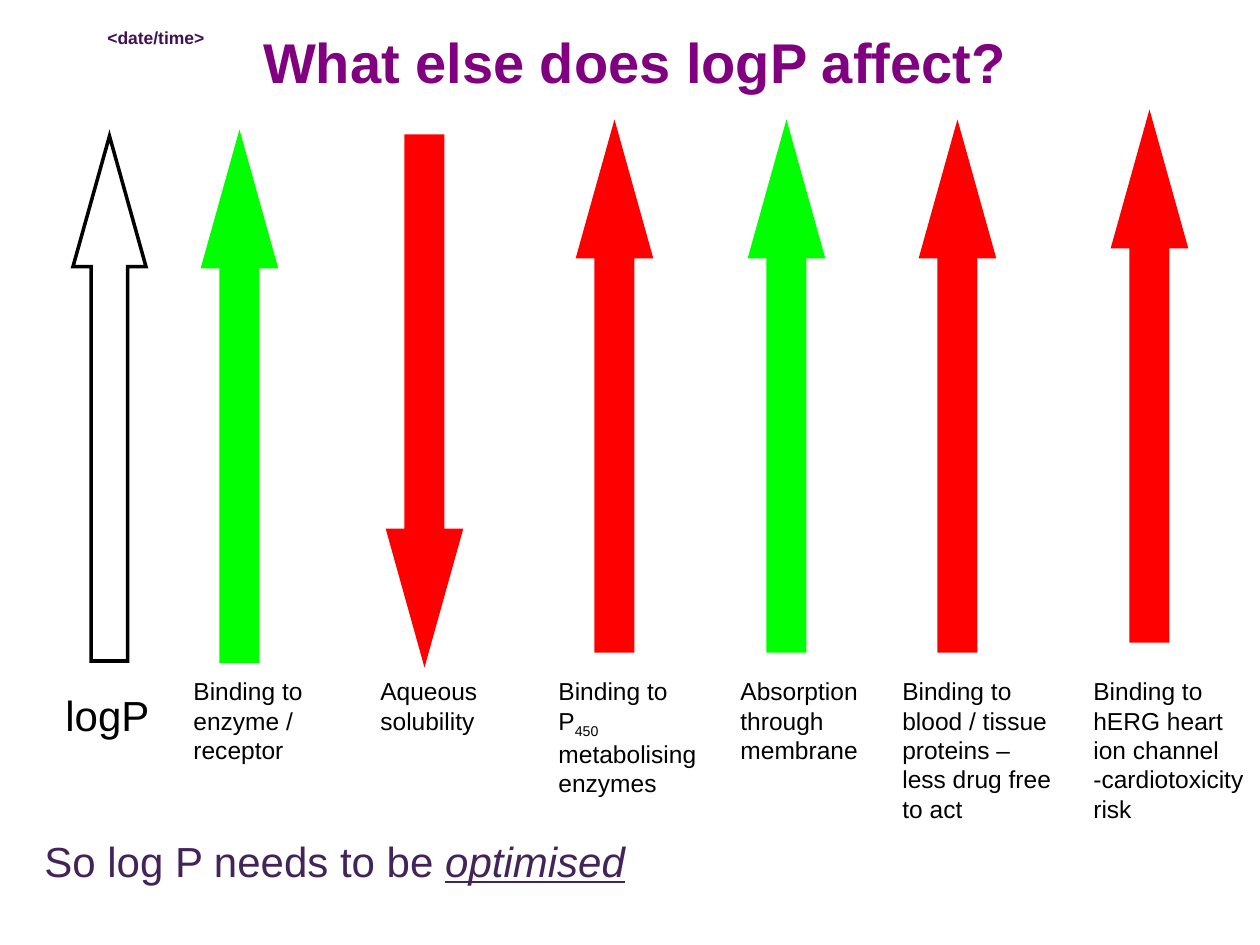
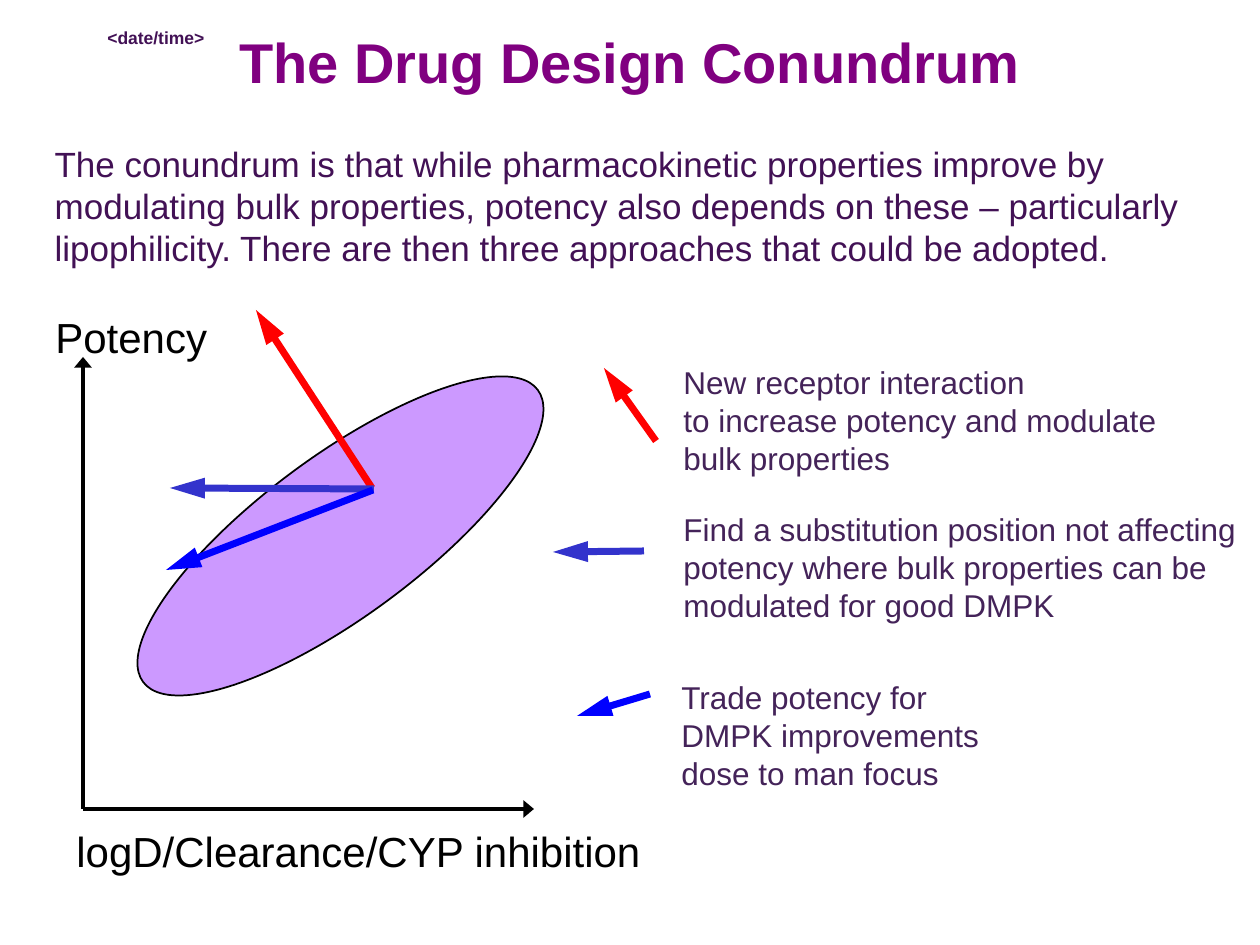
from lxml import etree
from pptx import Presentation
from pptx.dml.color import RGBColor
from pptx.enum.shapes import MSO_CONNECTOR, MSO_SHAPE
from pptx.enum.text import MSO_ANCHOR, MSO_AUTO_SIZE, PP_ALIGN
from pptx.oxml.ns import qn
from pptx.util import Emu, Pt

STRAIGHT = MSO_CONNECTOR.STRAIGHT
UP, DOWN, OVAL = MSO_SHAPE.UP_ARROW, MSO_SHAPE.DOWN_ARROW, MSO_SHAPE.OVAL
TOP, CENTER, LEFT = MSO_ANCHOR.TOP, PP_ALIGN.CENTER, PP_ALIGN.LEFT
FIXED = MSO_AUTO_SIZE.NONE

EMU_PER_PX = 914400 / 126
FONT = "Arial"
BLACK, WHITE = "000000", "FFFFFF"
RED, GREEN, BLUE, INDIGO = "FF0000", "00FF00", "0000FF", "3333CC"
TITLE_PURPLE, DARK_PURPLE, PLUM, LILAC = "800080", "421155", "442359", "CC99FF"

TITLE_ONLY, TITLE_AND_BODY = 5, 1
ARROW_WIDTH, ARROW_HEIGHT = 73, 525
LABEL_TOP = 670

EFFECTS = [
    (181, 147, 22, 136, UP, GREEN, ["Binding to enzyme / receptor"]),
    (368, 189, 20, 136, DOWN, RED, ["Aqueous solubility"]),
    (546, 169, 32, 126, UP, RED, ["Binding to P", "450 ", "metabolising enzymes"]),
    (728, 147, 22, 126, UP, GREEN, ["Absorption through membrane"]),
    (890, 179, 31, 126, UP, RED,
     ["Binding to blood / tissue proteins – less drug free to act"]),
    (1081, 179, 32, 116, UP, RED,
     ["Binding to hERG heart ion channel\v-cardiotoxicity risk"]),
]

INTRO = ("The conundrum is that while pharmacokinetic properties improve by "
         "modulating bulk properties, potency also depends on these – particularly "
         "lipophilicity. There are then three approaches that could be adopted.")

STRATEGIES = [
    ((289, 131), (173, -47), RED),
    ((291, 132), (87, 131), INDIGO),
    ((290, 133), (83, 213), BLUE),
]

APPROACHES = [
    ((671, 357, 498, 126), (-15, 84), (-67, 11), RED,
     ["New receptor interaction", "to increase potency and modulate",
      "bulk properties"]),
    ((671, 504, 578, 126), (-27, 47), (-118, 48), INDIGO,
     ["Find a substitution position not affecting",
      "potency where bulk properties can be", "modulated for good DMPK"]),
    ((669, 672, 323, 126), (-19, 22), (-92, 44), BLUE,
     ["Trade potency for", "DMPK improvements", "dose to man focus"]),
]


def px(*lengths):
    return [Emu(round(length * EMU_PER_PX)) for length in lengths]


def rgb(code):
    return RGBColor.from_string(code)


def style_span(span, size, color, bold=False):
    span.font.name = FONT
    span.font.size = Pt(size)
    span.font.bold = bold
    span.font.color.rgb = rgb(color)


def style_frame(frame, size, color, bold=False, wrap=True, align=LEFT):
    frame.word_wrap = wrap
    frame.auto_size = FIXED
    frame.vertical_anchor = TOP
    for para in frame.paragraphs:
        para.alignment = align
        para.space_before = Pt(0)
        for span in para.runs:
            style_span(span, size, color, bold)


def add_text(page, box, lines, size, color, bold=False, wrap=True):
    frame = page.shapes.add_textbox(*px(*box)).text_frame
    frame.text = "\n".join(lines)
    style_frame(frame, size, color, bold, wrap)
    return frame


def add_spans(para, texts):
    for text in texts:
        para.add_run().text = text
    return para.runs[-len(texts):]


def place(shape, box):
    shape.left, shape.top, shape.width, shape.height = px(*box)


def add_shape(page, preset, box, fill, line, weight):
    shape = page.shapes.add_shape(preset, *px(*box))
    shape.shadow.inherit = False
    shape.fill.solid()
    shape.fill.fore_color.rgb = rgb(fill)
    shape.line.color.rgb = rgb(line)
    shape.line.width = Pt(weight)
    return shape


def add_block_arrow(page, preset, box, fill, line):
    arrow = add_shape(page, preset, box, fill, line, 2)
    arrow.adjustments[0] = 0.5
    arrow.adjustments[1] = 1.79
    outline = arrow._element.spPr.get_or_add_ln()
    etree.SubElement(outline, qn("a:miter"), lim="800000")


def add_arrow(page, origin, start, end, color, weight, head_width, head_length):
    left, top = origin
    ends = px(left + start[0], top + start[1], left + end[0], top + end[1])
    arrow = page.shapes.add_connector(STRAIGHT, *ends)
    arrow.line.color.rgb = rgb(color)
    arrow.line.width = Pt(weight)
    properties = arrow._element.spPr
    etree.SubElement(properties.get_or_add_ln(), qn("a:tailEnd"), type="triangle",
                     w=head_width, len=head_length)
    etree.SubElement(properties, qn("a:effectLst"))


def add_page(deck, layout, title, title_box):
    page = deck.slides.add_slide(deck.slide_layouts[layout])
    place(page.shapes.title, title_box)
    page.shapes.title.text_frame.text = title
    style_frame(page.shapes.title.text_frame, 32, TITLE_PURPLE, True, False, CENTER)
    add_text(page, (95, 21, 262, 53), ["<date/time>"], 10, DARK_PURPLE, True)
    return page


def draw_effect(page, box, indent, preset, color, texts):
    left, top, width, height = box
    arrow_box = (left + indent, top, ARROW_WIDTH, ARROW_HEIGHT)
    add_block_arrow(page, preset, arrow_box, color, color)
    frame = add_text(page, (left, top + height, width, 135), texts[:1], 14, BLACK)
    if texts[1:]:
        for span in add_spans(frame.paragraphs[0], texts[1:]):
            style_span(span, 14, BLACK)
        subscript = frame.paragraphs[0].runs[1]
        subscript.font._element.set("baseline", "-25000")


def draw_logp(page, box):
    left, top, width, height = box
    add_block_arrow(page, UP, (left + 20, top, ARROW_WIDTH, ARROW_HEIGHT), WHITE, BLACK)
    add_text(page, (left, top + height, width, 63), ["logP"], 24, BLACK, wrap=False)


def draw_conclusion(page, box):
    frame = add_text(page, box, ["So log P needs to be "], 24, PLUM)
    span = add_spans(frame.paragraphs[0], ["optimised"])[0]
    style_span(span, 24, PLUM)
    span.font.italic = True
    span.font.underline = True


def draw_intro(page, box):
    body = page.placeholders[1]
    place(body, box)
    body.text_frame.text = INTRO
    style_frame(body.text_frame, 20, DARK_PURPLE)
    properties = body.text_frame.paragraphs[0]._p.get_or_add_pPr()
    properties.set("marL", "0")
    properties.set("indent", "0")
    etree.SubElement(properties, qn("a:buNone"))


def draw_plot(page, box):
    left, top, width, height = box
    add_text(page, (left - 19, top + height + 10, 601, 63),
             ["logD/Clearance/CYP inhibition"], 24, BLACK, wrap=False)
    for end in ((0, 0), (width, height)):
        add_arrow(page, (left, top), (0, height), end, BLACK, 2, "lg", "med")
    cloud = add_shape(page, OVAL, (left + 12, top + 99, 491, 160), LILAC, BLACK, 1)
    cloud.rotation = 323.5
    add_text(page, (left - 40, top - 52, 176, 63), ["Potency"], 24, BLACK, wrap=False)
    for start, end, color in STRATEGIES:
        add_arrow(page, (left, top), start, end, color, 4, "med", "lg")


def draw_approach(page, box, start, end, color, lines):
    add_arrow(page, box[:2], start, end, color, 4, "med", "lg")
    add_text(page, box, lines, 18, PLUM, wrap=False)


def build_effects_page(deck):
    page = add_page(deck, TITLE_ONLY, "What else does logP affect?", (235, 21, 800, 81))
    draw_logp(page, (53, 136, 108, 547))
    for left, width, indent, top, preset, color, texts in EFFECTS:
        box = (left, top, width, LABEL_TOP - top)
        draw_effect(page, box, indent, preset, color, texts)
    draw_conclusion(page, (32, 829, 620, 63))


def build_conundrum_page(deck):
    page = add_page(deck, TITLE_AND_BODY, "The Drug Design Conundrum", (215, 21, 830, 81))
    draw_plot(page, (83, 357, 451, 452))
    for approach in APPROACHES:
        draw_approach(page, *approach)
    draw_intro(page, (42, 136, 1166, 139))


def main():
    deck = Presentation()
    deck.slide_width, deck.slide_height = px(1260, 945)
    build_effects_page(deck)
    build_conundrum_page(deck)
    deck.save("out.pptx")


if __name__ == "__main__":
    main()
